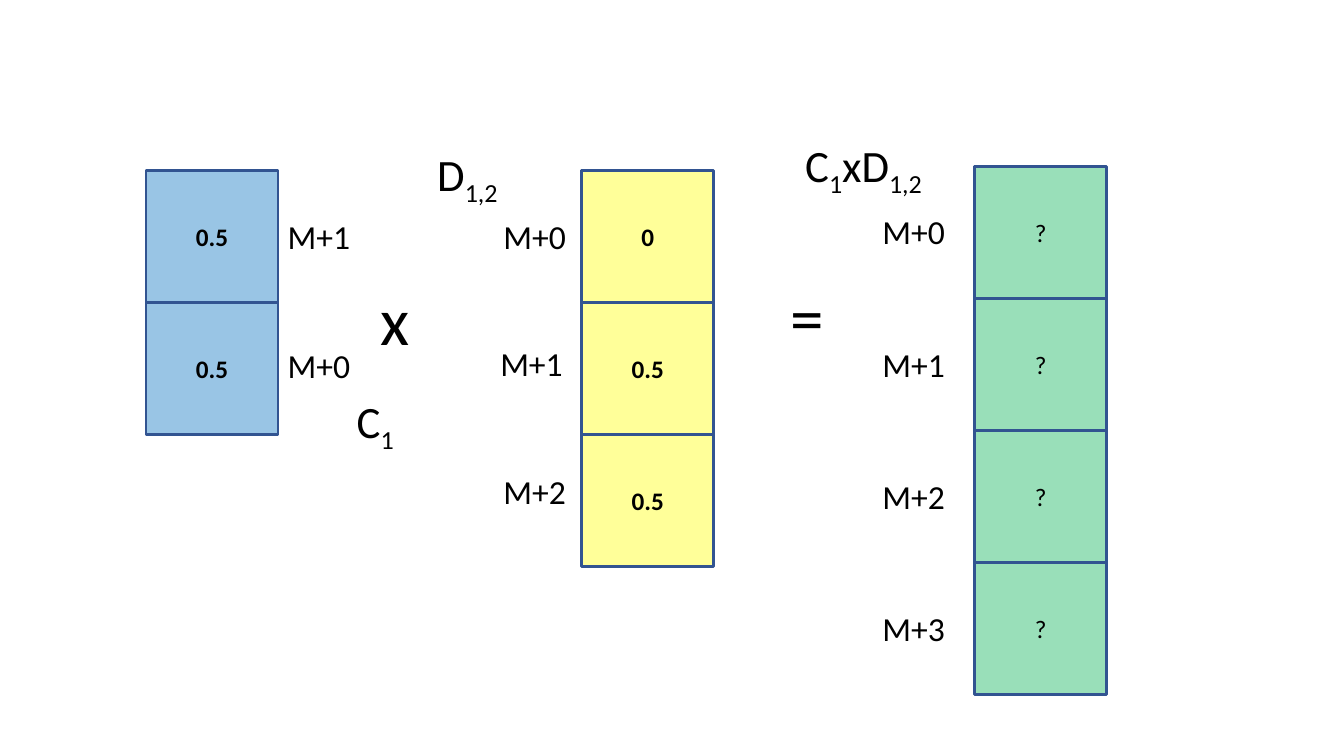
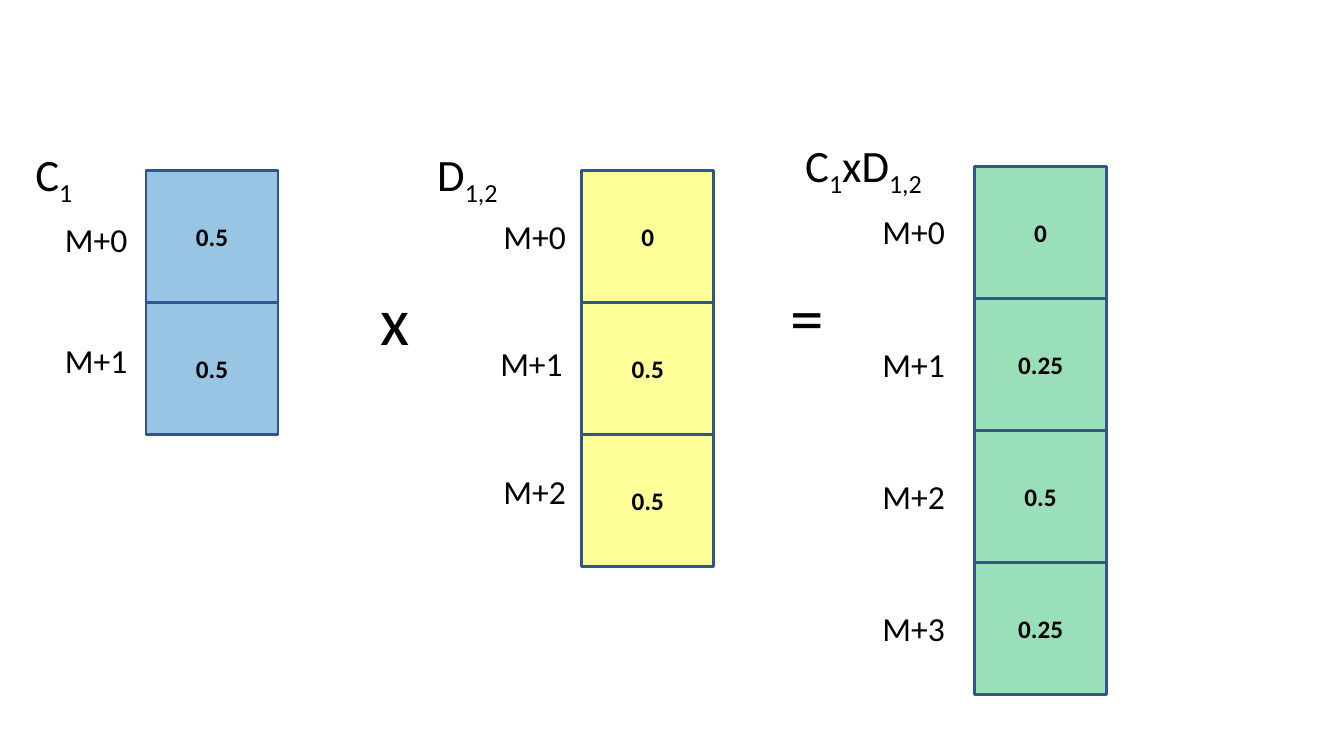
from dataclasses import dataclass, replace

from lxml.etree import SubElement
from pptx import Presentation
from pptx.dml.color import RGBColor
from pptx.enum.shapes import MSO_SHAPE as Preset
from pptx.enum.text import MSO_ANCHOR as Anchor
from pptx.enum.text import MSO_AUTO_SIZE as AutoSize
from pptx.enum.text import PP_ALIGN as Align
from pptx.oxml.ns import qn
from pptx.shapes.autoshape import Shape
from pptx.shapes.shapetree import GroupShapes
from pptx.slide import Slide
from pptx.text.text import Font
from pptx.util import Cm, Pt

FONT = "Calibri"
BLACK, OUTLINE = "000000", "325491"
BLUE, YELLOW, GREEN = "0070C0", "FFFF00", "00B050"
OPACITY = 40
CELL = 3.33
LABEL_WIDTH, LABEL_HEIGHT = 3.07, 1.27
NAME_HEIGHT = 1.63
OPERATOR_WIDTH, OPERATOR_HEIGHT = 1.63, 2.31


@dataclass(frozen=True)
class Name:
    pieces: tuple[str, ...]
    left: float
    top: float
    width: float


@dataclass(frozen=True)
class Labels:
    texts: tuple[str, ...]
    lefts: tuple[float, ...]
    top: float
    pitch: float


@dataclass(frozen=True)
class Column:
    name: Name
    labels: Labels
    left: float
    top: float
    fill: str
    values: tuple[str, ...]
    bold: bool = True


@dataclass(frozen=True)
class Operator:
    text: str
    left: float
    top: float


def color(value: str) -> RGBColor:
    return RGBColor.from_string(value)


def format_font(font: Font, size: float, bold: bool = False) -> None:
    font.name = FONT
    font.size = Pt(size)
    font.bold = bold
    font.color.rgb = color(BLACK)


def add_text(shapes: GroupShapes, text: str, left: float, top: float,
             width: float, height: float, size: float,
             align: Align = Align.CENTER) -> Shape:
    box = shapes.add_textbox(Cm(left), Cm(top), Cm(width), Cm(height))
    frame = box.text_frame
    frame.text = text
    frame.word_wrap = True
    frame.auto_size = AutoSize.SHAPE_TO_FIT_TEXT
    paragraph = frame.paragraphs[0]
    paragraph.alignment = align
    format_font(paragraph.runs[0].font, size)
    return box


def add_name(shapes: GroupShapes, name: Name) -> None:
    box = add_text(shapes, name.pieces[0], name.left, name.top,
                   name.width, NAME_HEIGHT, 32, Align.LEFT)
    paragraph = box.text_frame.paragraphs[0]
    for index, piece in enumerate(name.pieces[1:], start=1):
        run = paragraph.add_run()
        run.text = piece
        format_font(run.font, 32)
        if index % 2:
            run._r.get_or_add_rPr().set("baseline", "-25000")


def add_cell(shapes: GroupShapes, column: Column, row: int) -> None:
    cell = shapes.add_shape(Preset.RECTANGLE, Cm(column.left),
                            Cm(column.top + row * CELL), Cm(CELL), Cm(CELL))
    cell.shadow.inherit = False
    cell.fill.solid()
    cell.fill.fore_color.rgb = color(column.fill)
    tint = cell._element.spPr.find(qn("a:solidFill")).find(qn("a:srgbClr"))
    SubElement(tint, qn("a:alpha")).set("val", str(OPACITY * 1000))
    cell.line.color.rgb = color(OUTLINE)
    cell.line.width = Pt(2)
    frame = cell.text_frame
    frame.text = column.values[row]
    frame.vertical_anchor = Anchor.MIDDLE
    paragraph = frame.paragraphs[0]
    paragraph.alignment = Align.CENTER
    format_font(paragraph.runs[0].font, 18, column.bold)


def add_column(slide: Slide, column: Column) -> None:
    shapes = slide.shapes.add_group_shape().shapes
    for row in range(len(column.values)):
        add_cell(shapes, column, row)
    labels = column.labels
    for row, (text, left) in enumerate(zip(labels.texts, labels.lefts)):
        add_text(shapes, text, left, labels.top + row * labels.pitch,
                 LABEL_WIDTH, LABEL_HEIGHT, 24)
    add_name(shapes, column.name)


def add_operator(slide: Slide, operator: Operator) -> None:
    add_text(slide.shapes, operator.text, operator.left, operator.top,
             OPERATOR_WIDTH, OPERATOR_HEIGHT, 48)


def add_product_slide(presentation: Presentation,
                      columns: tuple[Column, ...]) -> None:
    slide = presentation.slides.add_slide(presentation.slide_layouts[6])
    for column in columns:
        add_column(slide, column)
    for operator in OPERATORS:
        add_operator(slide, operator)


MASSES = ("M+0", "M+1", "M+2", "M+3")
OPERATORS = (Operator("x", 9.14, 6.88), Operator("=", 19.53, 6.81))

C_UPRIGHT = Column(
    Name(("C", "1"), 0.64, 3.56, 1.63),
    Labels(MASSES[:2], (0.89, 0.89), 5.38, 3.05),
    3.68, 4.29, BLUE, ("0.5", "0.5"))
C_TURNED = replace(
    C_UPRIGHT,
    name=Name(("C", "1"), 8.74, 9.8, 1.63),
    labels=Labels(MASSES[1::-1], (6.5, 6.5), 5.31, 3.25))
D_COLUMN = Column(
    Name(("D", "1,2"), 10.77, 3.56, 2.62),
    Labels(MASSES[:3], (11.94, 11.86, 11.94), 5.31, 3.21),
    14.66, 4.29, YELLOW, ("0", "0.5", "0.5"))
PRODUCT = Column(
    Name(("C", "1", "xD", "1,2"), 20.04, 3.35, 3.71),
    Labels(MASSES, (21.49,) * 4, 5.2, CELL),
    24.56, 4.19, GREEN, ("0", "0.25", "0.5", "0.25"))
UNKNOWN_PRODUCT = replace(PRODUCT, values=("?",) * 4, bold=False)

presentation = Presentation()
presentation.slide_width = Cm(33.87)
presentation.slide_height = Cm(19.05)
add_product_slide(presentation, (C_TURNED, D_COLUMN, UNKNOWN_PRODUCT))
add_product_slide(presentation, (C_UPRIGHT, D_COLUMN, PRODUCT))
presentation.save("out.pptx")
